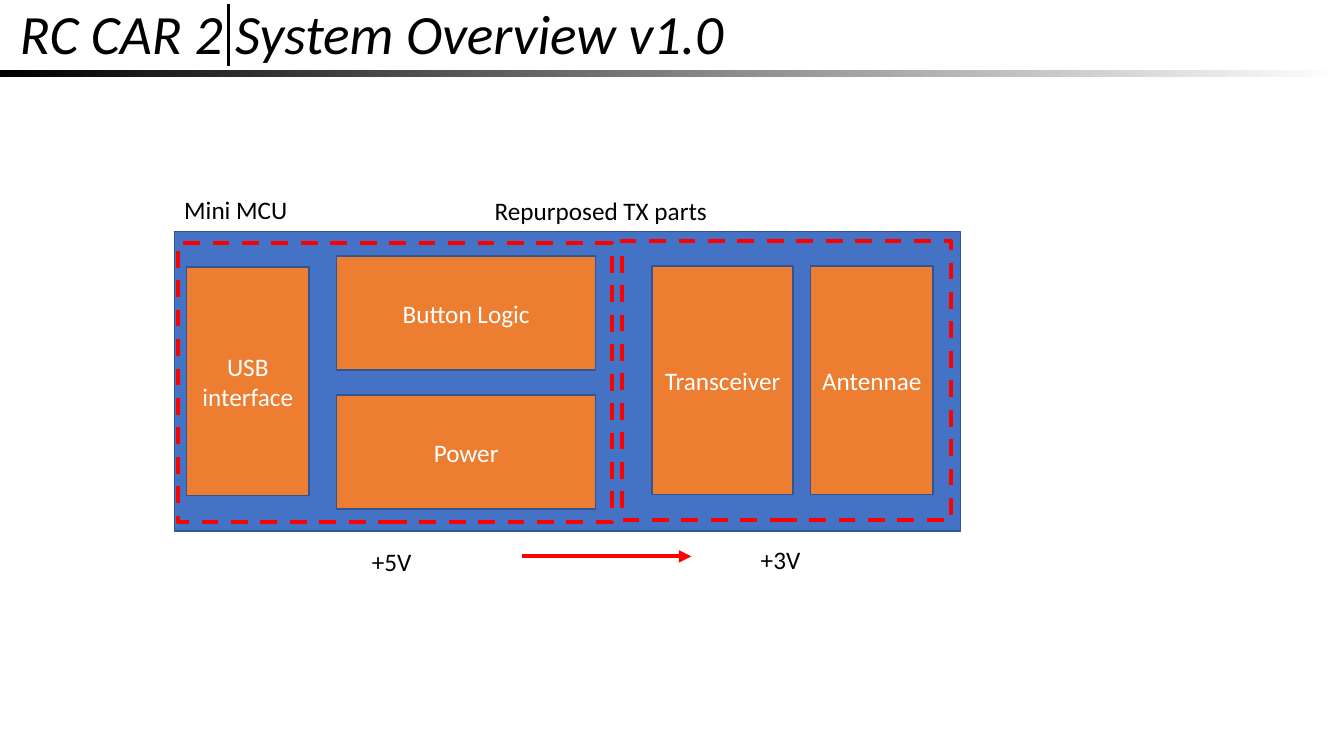
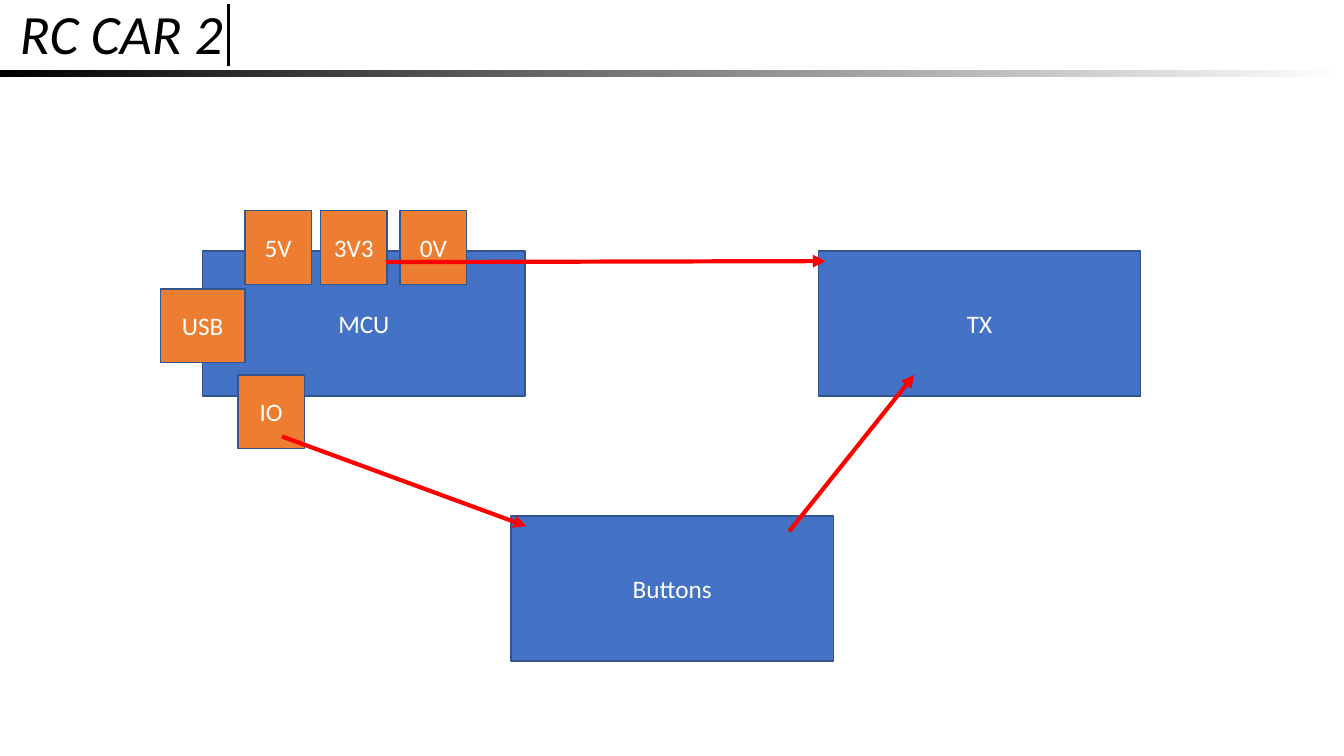
import pptx
import pptx.util
import pptx.dml.color
import pptx.enum.dml
import pptx.enum.shapes
import pptx.enum.text
import pptx.oxml.ns
import lxml.etree

Pt = pptx.util.Pt
RGB = pptx.dml.color.RGBColor
RECT = pptx.enum.shapes.MSO_SHAPE.RECTANGLE
ALIGN = pptx.enum.text.PP_ALIGN
ANCHOR = pptx.enum.text.MSO_ANCHOR

BLACK = RGB(0x00, 0x00, 0x00)
WHITE = RGB(0xFF, 0xFF, 0xFF)
BLUE = RGB(0x44, 0x72, 0xC4)
ORANGE = RGB(0xED, 0x7D, 0x31)
EDGE = RGB(0x32, 0x54, 0x91)
RED = RGB(0xFF, 0x00, 0x00)
FONT = "Calibri"
WIDE, HIGH = 960, 540


def write(frame, text, size, color, align=ALIGN.LEFT, italic=False):
    """Put one styled run in a text frame."""
    para = frame.paragraphs[0]
    para.alignment = align
    run = para.add_run()
    run.text = text
    run.font.name = FONT
    run.font.size = Pt(size)
    run.font.italic = italic
    run.font.color.rgb = color
    return para


def add_rect(slide, left, top, width, height):
    """Add a rectangle without a shadow."""
    rect = slide.shapes.add_shape(RECT, Pt(left), Pt(top), Pt(width), Pt(height))
    rect.shadow.inherit = False
    return rect


def add_block(slide, left, top, width, height, fill, text=""):
    """Add a filled block with an optional centred label."""
    block = add_rect(slide, left, top, width, height)
    block.fill.solid()
    block.fill.fore_color.rgb = fill
    block.line.color.rgb = EDGE
    block.line.width = Pt(1)
    if text:
        frame = block.text_frame
        frame.word_wrap = True
        frame.vertical_anchor = ANCHOR.MIDDLE
        write(frame, text, 18, WHITE, ALIGN.CENTER)


def add_zone(slide, left, top, width, height):
    """Add a dashed red outline."""
    zone = add_rect(slide, left, top, width, height)
    zone.fill.background()
    zone.line.color.rgb = RED
    zone.line.width = Pt(3)
    zone.line.dash_style = pptx.enum.dml.MSO_LINE.DASH


def add_label(slide, left, top, width, text):
    """Add a plain black label."""
    box = slide.shapes.add_textbox(Pt(left), Pt(top), Pt(width), Pt(29))
    box.text_frame.word_wrap = True
    write(box.text_frame, text, 18, BLACK)


def add_line(slide, start, end, color, width):
    """Add a straight line between two points."""
    kind = pptx.enum.shapes.MSO_CONNECTOR.STRAIGHT
    line = slide.shapes.add_connector(kind, *(Pt(v) for v in (*start, *end)))
    line.line.color.rgb = color
    line.line.width = Pt(width)
    props = line.element.spPr
    lxml.etree.SubElement(props, pptx.oxml.ns.qn("a:effectLst"))
    return line


def add_arrow(slide, start, end):
    """Add a red line with an arrowhead at its end."""
    arrow = add_line(slide, start, end, RED, 3)
    stroke = arrow.line._get_or_add_ln()
    head = lxml.etree.SubElement(stroke, pptx.oxml.ns.qn("a:tailEnd"))
    head.set("type", "triangle")


def add_header(slide, title):
    """Draw the fading rule, the divider and the title."""
    band = add_rect(slide, 0, 50.3, WIDE, 4.5)
    band.line.fill.background()
    band.fill.gradient()
    band.fill.gradient_angle = 0
    for stop, color in zip(band.fill.gradient_stops, (BLACK, WHITE)):
        stop.color.rgb = color
    add_line(slide, (163.4, 47), (163.4, 3), BLACK, 2.25)
    box = slide.shapes.add_textbox(Pt(7.2), Pt(0), Pt(654), Pt(52.6))
    frame = box.text_frame
    frame.word_wrap = True
    frame.vertical_anchor = ANCHOR.MIDDLE
    write(frame, title, 39.6, BLACK, italic=True).line_spacing = 0.9


def draw_board(slide, left, top, width, height):
    """Draw the board with its modules, zones and supply labels."""
    add_block(slide, left, top, width, height, BLUE)
    modules = (
        ("Antennae", 454.3, 24.5, 87.8, 163.4),
        ("Transceiver", 341.3, 24.5, 100.8, 163.4),
        ("Power", 116, 116.6, 185, 81.4),
        ("Button Logic", 116, 17.3, 185, 81.4),
        ("USB interface", 8.6, 25.2, 87.8, 163.4),
    )
    for text, x, y, wide, high in modules:
        add_block(slide, left + x, top + y, wide, high, ORANGE, text)
    for x, y, wide in ((2.9, 7.9, 309.6), (319.7, 6.5, 235.4)):
        add_zone(slide, left + x, top + y, wide, 199.4)
    labels = (
        ("Mini MCU", 0, -30.2, 95),
        ("Repurposed TX parts", 221.8, -29.5, 169.2),
        ("+3V", 411.8, 219.6, 70),
        ("+5V", 134, 221, 70),
    )
    for text, x, y, wide in labels:
        add_label(slide, left + x, top + y, wide, text)
    level = top + height + 18
    add_arrow(slide, (left + 248.4, level), (left + 369.4, level))


def draw_wiring(slide, left, top):
    """Draw the units, their pins and the links between them."""
    units = (("MCU", 30.2, 28.8), ("Buttons", 250.5, 218), ("TX", 470, 28.8))
    for text, x, y in units:
        add_block(slide, left + x, top + y, 230.4, 103.7, BLUE, text)
    pins = (
        ("USB", 0, 56, 60.5),
        ("IO", 55.4, 117.3, 47.5),
        ("5V", 60.5, 0, 47.5),
        ("0V", 171.3, 0, 47.5),
        ("3V3", 114.5, 0, 47.5),
    )
    for text, x, y, wide in pins:
        add_block(slide, left + x, top + y, wide, 52.6, ORANGE, text)
    links = (
        ((87, 161.3), (261.3, 225.3)),
        ((449.3, 229), (538.5, 117.3)),
        ((161.3, 36.7), (475.2, 36)),
    )
    for link in links:
        add_arrow(slide, *((left + x, top + y) for x, y in link))


def main():
    """Build and save both slides."""
    deck = pptx.Presentation()
    deck.slide_width, deck.slide_height = Pt(WIDE), Pt(HIGH)
    blank = deck.slide_layouts[6]
    first = deck.slides.add_slide(blank)
    add_header(first, "RC CAR 2 System Overview v1.0")
    draw_board(first, 124.5, 165.6, 561.6, 213.8)
    second = deck.slides.add_slide(blank)
    add_header(second, "RC CAR 2")
    draw_wiring(second, 114.5, 150.5)
    deck.save("out.pptx")


if __name__ == "__main__":
    main()
